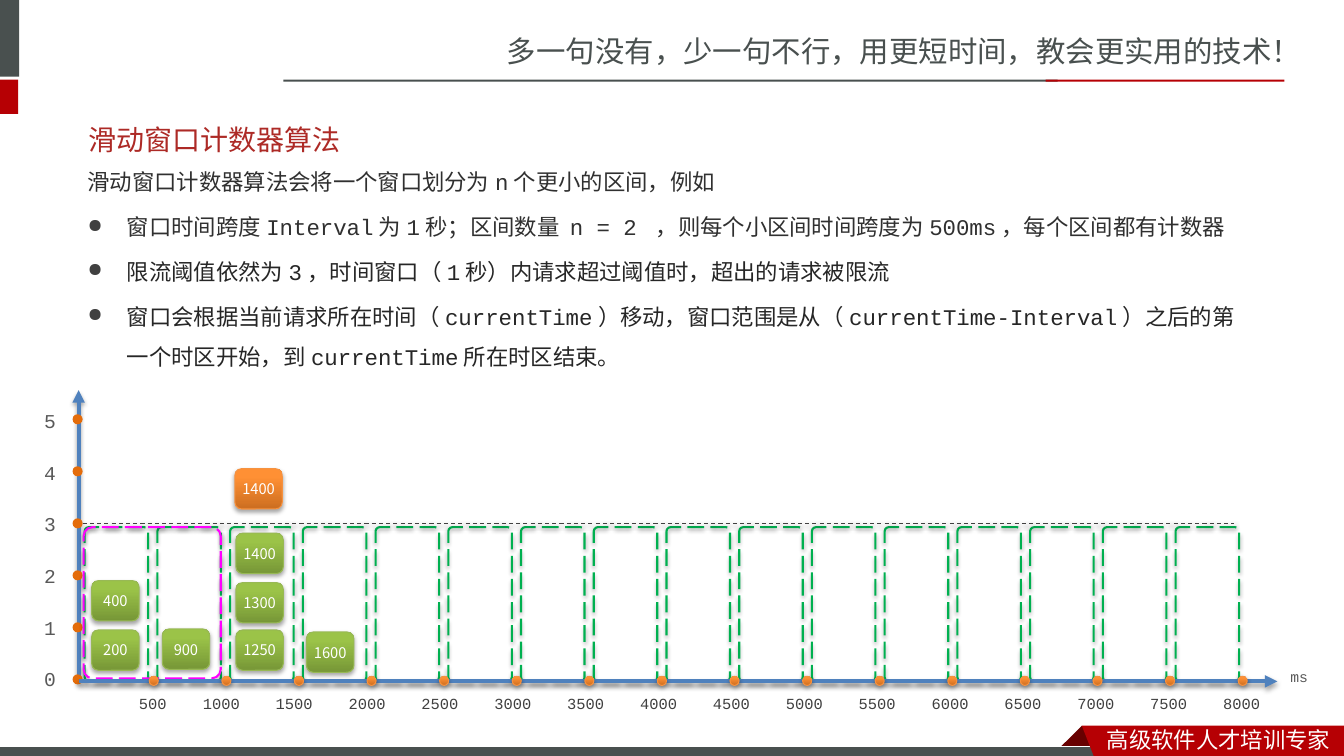
from dataclasses import dataclass

from lxml import etree
from pptx import Presentation
from pptx import util as u
from pptx.dml import color as dml
from pptx.enum import dml as line_styles
from pptx.enum import shapes, text
from pptx.oxml import ns

Inches, Pt = u.Inches, u.Pt
KIND = shapes.MSO_SHAPE
DASH = line_styles.MSO_LINE


@dataclass(frozen=True)
class Theme:
    """Colours, fonts and type sizes of the slide."""
    slate: str = "49504F"
    red: str = "B60004"
    fold: str = "680000"
    white: str = "FFFFFF"
    title: str = "AD2A26"
    body: str = "303030"
    body_dark: str = "262626"
    label: str = "404040"
    scale: str = "595959"
    axis: str = "4F81BD"
    tick: str = "E46C0A"
    section: str = "00B050"
    window: str = "FF00FF"
    green: tuple = ("779737", "9BC348", "98B955")
    orange: tuple = ("CC6E20", "FF9034", "F69240")
    sans: str = "Noto Sans CJK SC"
    number: str = "Noto Sans CJK JP"
    heading: str = "Arial"
    mono: str = "Courier New"
    banner_size: float = 21
    title_size: float = 20
    body_size: float = 16
    scale_size: float = 14
    label_size: float = 11
    request_size: float = 10.5


T = Theme()
BODY = [
    ("滑动窗口计数器算法会将一个窗口划分为n个更小的区间，例如", T.body),
    ("窗口时间跨度Interval为1秒；区间数量 n = 2 ，则每个小区间时间跨度为500ms，每个区间都有计数器", T.body),
    ("限流阈值依然为3，时间窗口（1秒）内请求超过阈值时，超出的请求被限流", T.body_dark),
    ("窗口会根据当前请求所在时间（currentTime）移动，窗口范围是从（currentTime-Interval）"
     "之后的第一个时区开始，到currentTime所在时区结束。", T.body_dark),
]
REQUESTS = [
    (0.91, 6.25, "200", T.green), (0.91, 5.76, "400", T.green),
    (1.61, 6.24, "900", T.green), (2.34, 6.25, "1250", T.green),
    (2.34, 5.78, "1300", T.green), (2.34, 5.29, "1400", T.green),
    (2.33, 4.65, "1400", T.orange), (3.04, 6.27, "1600", T.green),
]
SECTIONS = 16


def rgb(value):
    """Return a colour from its hex digits."""
    return dml.RGBColor.from_string(value)


def add_xml(parent, tag, **attrs):
    """Append a drawing element and return it."""
    return etree.SubElement(parent, ns.qn(tag), attrs)


def add_shadow(sp):
    """Give a shape or connector a soft shadow straight below."""
    effects = add_xml(sp.element.spPr, "a:effectLst")
    outer = add_xml(effects, "a:outerShdw", blurRad="40000", dist="23000",
                    dir="5400000", rotWithShape="0")
    add_xml(add_xml(outer, "a:srgbClr", val="000000"), "a:alpha", val="35000")


def write(p, content, *, size, color, font, align=None):
    """Write one formatted run into a paragraph."""
    r = p.add_run()
    r.text = content
    r.font.size, r.font.name = Pt(size), font
    r.font.color.rgb = rgb(color)
    add_xml(r.font._element, "a:ea", typeface=T.number if font == T.number else T.sans)
    p.alignment = align


def add_box(s, x, y, w, h, wrap=True, grow=True):
    """Add an empty text box and return its text frame."""
    tf = s.shapes.add_textbox(Inches(x), Inches(y), Inches(w), Inches(h)).text_frame
    tf.word_wrap = wrap
    tf.auto_size = text.MSO_AUTO_SIZE.SHAPE_TO_FIT_TEXT if grow else text.MSO_AUTO_SIZE.NONE
    return tf


def add_label(s, content, x, y, w, h, wrap=False, **style):
    """Add a one-line text box."""
    write(add_box(s, x, y, w, h, wrap).paragraphs[0], content, **style)


def paint(sp, fill=None, line=None, width=0.75, dash=None):
    """Set a flat, graded or absent fill and an optional outline."""
    sp.shadow.inherit = False
    if isinstance(fill, tuple):
        low, high, line = fill
        sp.fill.gradient()
        sp.fill.gradient_angle = 90
        first, last = sp.fill.gradient_stops
        first.color.rgb, last.color.rgb = rgb(low), rgb(high)
        last.position = 0.8
    elif fill:
        sp.fill.solid()
        sp.fill.fore_color.rgb = rgb(fill)
    else:
        sp.fill.background()
    if line:
        sp.line.color.rgb = rgb(line)
        sp.line.width = Pt(width)
        sp.line.dash_style = dash
    else:
        sp.line.fill.background()


def add_shape(s, kind, x, y, w, h, shadow=False, **style):
    """Add a painted preset shape."""
    sp = s.shapes.add_shape(kind, Inches(x), Inches(y), Inches(w), Inches(h))
    paint(sp, **style)
    if shadow:
        sp.element.spPr.remove(sp.element.spPr.find(ns.qn("a:effectLst")))
        add_shadow(sp)
    return sp


def add_outline(s, points, fill):
    """Add a filled polygon through points in inches."""
    corners = [(Inches(x), Inches(y)) for x, y in points]
    builder = s.shapes.build_freeform(*corners[0], scale=1.0)
    builder.add_line_segments(corners[1:], close=True)
    paint(builder.convert_to_shape(), fill=fill)


def add_line(s, x1, y1, x2, y2, color, width, dash=None, arrow=False):
    """Add a straight line with a shadow and an optional arrowhead."""
    c = s.shapes.add_connector(shapes.MSO_CONNECTOR.STRAIGHT,
                               Inches(x1), Inches(y1), Inches(x2), Inches(y2))
    c.line.color.rgb = rgb(color)
    c.line.width = Pt(width)
    c.line.dash_style = dash
    if arrow:
        add_xml(c.line._get_or_add_ln(), "a:tailEnd", type="triangle")
    add_shadow(c)


def add_dashed_frame(s, x, y, w, h, color):
    """Add a dashed frame with slightly rounded corners."""
    sp = add_shape(s, KIND.ROUNDED_RECTANGLE, x, y, w, h, shadow=True,
                   line=color, width=1.5, dash=DASH.LONG_DASH)
    sp.adjustments[0] = 0.065


def add_request(s, x, y, time, fill):
    """Add a request tile that shows its arrival time."""
    sp = add_shape(s, KIND.ROUNDED_RECTANGLE, x, y, 0.47, 0.4, shadow=True, fill=fill)
    tf = sp.text_frame
    tf.margin_left = tf.margin_right = 0
    tf.vertical_anchor = text.MSO_ANCHOR.MIDDLE
    write(tf.paragraphs[0], time, size=T.request_size, color=T.white,
          font=T.number, align=text.PP_ALIGN.CENTER)


def add_bullet(p):
    """Give a paragraph a round bullet with a hanging indent."""
    pPr = p._p.get_or_add_pPr()
    pPr.set("marL", str(Inches(0.39)))
    pPr.set("indent", str(Inches(-0.39)))
    add_xml(add_xml(pPr, "a:buClr"), "a:srgbClr", val=T.label)
    add_xml(pPr, "a:buSzPct", val="85000")
    add_xml(pPr, "a:buChar", char="●")


def add_frame(s):
    """Draw the banner, side marks and footer."""
    add_label(s, "多一句没有，少一句不行，用更短时间，教会更实用的技术！", 4.93, 0.28, 8.41, 0.47,
              wrap=True, size=T.banner_size, color=T.slate, font=T.sans)
    for x, y, w, h, fill in [(-0.06, 0, 0.25, 0.76, T.slate), (-0.06, 0.79, 0.24, 0.34, T.red),
                             (2.81, 0.79, 7.68, 0.02, T.slate), (10.37, 0.79, 2.37, 0.02, T.red)]:
        add_shape(s, KIND.RECTANGLE, x, y, w, h, fill=fill)
    add_outline(s, [(10.73, 7.2), (10.95, 7.42), (10.94, 7.43), (10.52, 7.43), (10.51, 7.42)], T.fold)
    add_shape(s, KIND.RECTANGLE, -0.01, 7.41, 11, 0.12, fill=T.slate, line=T.white)
    add_outline(s, [(10.73, 7.2), (13.33, 7.2), (13.33, 7.54), (10.86, 7.53)], T.red)
    add_label(s, "高级软件人才培训专家", 10.88, 7.15, 2.45, 0.37,
              wrap=True, size=T.body_size, color=T.white, font=T.sans)


def add_explanation(s):
    """Write the heading and the bulleted explanation."""
    tf = add_box(s, 0.77, 1.49, 11.76, 2.31, grow=False)
    for i, (content, color) in enumerate(BODY):
        p = tf.add_paragraph() if i else tf.paragraphs[0]
        if i:
            add_bullet(p)
            p.space_before = Pt(3.2)
        p.line_spacing = 1.5
        write(p, content, size=T.body_size, color=color, font=T.mono)
    tf = add_box(s, 0.78, 1.1, 11.7, 0.57, grow=False)
    tf.vertical_anchor = text.MSO_ANCHOR.MIDDLE
    write(tf.paragraphs[0], "滑动窗口计数器算法", size=T.title_size, color=T.title, font=T.heading)


def add_timeline(s):
    """Draw the sections, both axes, the window and the requests."""
    for i in range(SECTIONS):
        add_dashed_frame(s, 0.84 + i * 10.82 / 15, 5.23, 0.63, 1.53, T.section)
    add_line(s, 0.82, 5.19, 12.24, 5.19, T.label, 0.75, dash=DASH.DASH)
    add_line(s, 0.78, 6.78, 0.78, 3.87, T.axis, 3, arrow=True)
    for i in range(6):
        add_label(s, str(i), 0.34, 6.57 - i * 2.56 / 5, 0.32, 0.34,
                  size=T.scale_size, color=T.scale, font=T.mono)
        add_shape(s, KIND.OVAL, 0.72, 6.69 - i * 2.58 / 5, 0.1, 0.1, fill=T.tick)
    add_dashed_frame(s, 0.83, 5.23, 1.36, 1.5, T.window)
    add_line(s, 0.78, 6.76, 12.67, 6.76, T.axis, 3, arrow=True)
    for i in range(SECTIONS):
        x, w = (1.19 + i * 10.12 / 14, 0.57) if i else (1.28, 0.48)
        add_label(s, str(500 * (i + 1)), x, 6.84, w, 0.29,
                  size=T.label_size, color=T.label, font=T.mono)
        add_shape(s, KIND.OVAL, 1.48 + 0.72 * i, 6.71, 0.09, 0.09, shadow=True, fill=T.orange)
    add_label(s, "ms", 12.7, 6.58, 0.38, 0.28, size=T.request_size, color=T.scale, font=T.mono)
    for request in REQUESTS:
        add_request(s, *request)


def main():
    """Build and save the slide."""
    prs = Presentation()
    prs.slide_width, prs.slide_height = Inches(13.33), Inches(7.5)
    s = prs.slides.add_slide(prs.slide_layouts[6])
    add_frame(s)
    add_explanation(s)
    add_timeline(s)
    prs.save("out.pptx")


if __name__ == "__main__":
    main()
